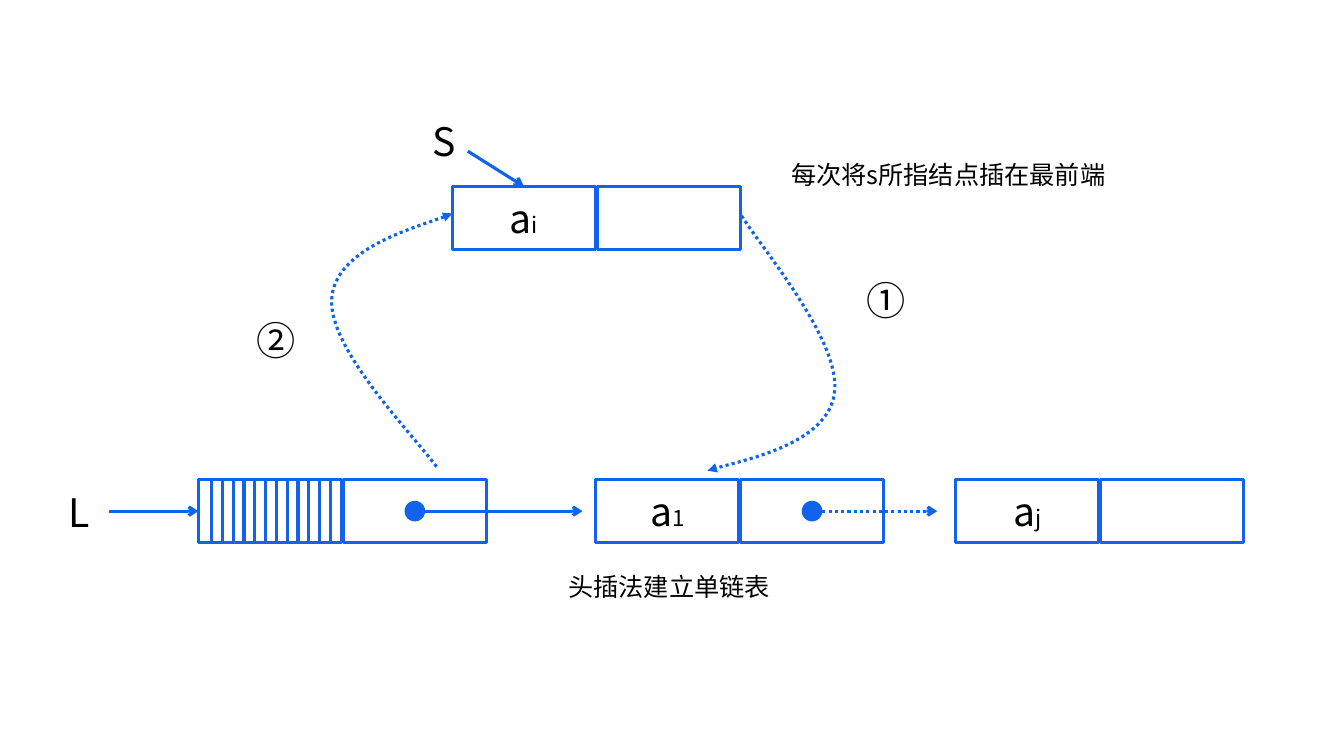
from lxml.etree import SubElement
from pptx import Presentation
from pptx.dml.color import RGBColor
from pptx.enum.dml import MSO_LINE
from pptx.enum.shapes import MSO_CONNECTOR, MSO_SHAPE
from pptx.enum.text import MSO_ANCHOR, PP_ALIGN
from pptx.oxml.ns import qn
from pptx.util import Cm, Pt

BLUE = RGBColor(0x11, 0x63, 0xEB)
BLACK = RGBColor(0x00, 0x00, 0x00)
FONT = "Noto Sans CJK SC"
CELL_W, CELL_H, PITCH = 3.61, 1.58, 3.65
DOT = 0.52
TOP_Y, ROW_Y = 4.70, 12.09
MID_Y = ROW_Y + CELL_H / 2


class Diagram:
    def __init__(self, slide):
        self.shapes = slide.shapes

    def stroke(self, sp, dotted=False, head=None):
        sp.line.color.rgb = BLUE
        sp.line.width = Pt(2.25)
        if dotted:
            sp.line.dash_style = MSO_LINE.ROUND_DOT
        if head:
            ln = sp.line._get_or_add_ln()
            SubElement(ln, qn("a:tailEnd"), type=head)

    def run(self, p, text, size):
        r = p.add_run()
        r.text = text
        r.font.size = Pt(size)
        r.font.color.rgb = BLACK
        r.font.name = FONT
        SubElement(r.font._element, qn("a:ea"), typeface=FONT)

    def cell(self, x, y, letter="", index=""):
        sp = self.shapes.add_shape(MSO_SHAPE.RECTANGLE, Cm(x), Cm(y), Cm(CELL_W), Cm(CELL_H))
        sp.shadow.inherit = False
        sp.fill.background()
        self.stroke(sp)
        if letter:
            tf = sp.text_frame
            tf.vertical_anchor = MSO_ANCHOR.MIDDLE
            p = tf.paragraphs[0]
            p.alignment = PP_ALIGN.CENTER
            self.run(p, letter, 28)
            self.run(p, index, 16)
        return sp

    def node(self, x, y, letter="", index=""):
        data = self.cell(x, y, letter, index)
        self.cell(x + PITCH, y)
        return data

    def line(self, x1, y1, x2, y2, dotted=False, head=None):
        cx = self.shapes.add_connector(MSO_CONNECTOR.STRAIGHT, Cm(x1), Cm(y1), Cm(x2), Cm(y2))
        self.stroke(cx, dotted, head)
        SubElement(cx._element.spPr, qn("a:effectLst"))
        return cx

    def pointer(self, node_x, end_x, dotted=False):
        x = node_x + PITCH + (CELL_W - DOT) / 2
        sp = self.shapes.add_shape(MSO_SHAPE.OVAL, Cm(x), Cm(MID_Y - DOT / 2), Cm(DOT), Cm(DOT))
        sp.shadow.inherit = False
        sp.fill.solid()
        sp.fill.fore_color.rgb = BLUE
        sp.line.fill.background()
        self.line(x + DOT, MID_Y, end_x, MID_Y, dotted, "arrow")

    def curve(self, points):
        start, *rest = [(Cm(x), Cm(y)) for x, y in points]
        builder = self.shapes.build_freeform(*start)
        builder.add_line_segments(rest, close=False)
        sp = builder.convert_to_shape()
        sp.shadow.inherit = False
        sp.fill.background()
        self.stroke(sp, dotted=True, head="triangle")
        segments = list(sp._element.iter(qn("a:lnTo")))
        outline = segments[0].getparent()
        for i in range(0, len(segments), 3):
            bezier = SubElement(outline, qn("a:cubicBezTo"))
            for segment in segments[i:i + 3]:
                bezier.append(segment[0])
                outline.remove(segment)

    def label(self, x, y, w, h, text, size=28, wrap=False, align=PP_ALIGN.LEFT):
        tf = self.shapes.add_textbox(Cm(x), Cm(y), Cm(w), Cm(h)).text_frame
        tf.word_wrap = wrap
        p = tf.paragraphs[0]
        p.alignment = align
        self.run(p, text, size)


def main():
    prs = Presentation()
    prs.slide_width, prs.slide_height = Cm(33.87), Cm(19.05)
    d = Diagram(prs.slides.add_slide(prs.slide_layouts[6]))

    head_x, first_x, last_x = 5.00, 15.01, 24.08
    new_node = d.node(11.40, TOP_Y, "a", "i")
    head = d.node(head_x, ROW_Y)
    for i in range(12):
        x = head_x + 0.33 + i * 3 / 11
        d.line(x, ROW_Y, x, ROW_Y + CELL_H)
    d.node(first_x, ROW_Y, "a", "1")
    d.node(last_x, ROW_Y, "a", "j")
    d.pointer(head_x, 14.68)
    d.pointer(first_x, 23.62, dotted=True)

    d.line(2.74, MID_Y, head_x, MID_Y, head="arrow").end_connect(head, 1)
    d.line(11.79, 3.81, 13.2, TOP_Y, head="arrow").end_connect(new_node, 0)
    d.curve([(11.00, 11.76), (10.41, 10.95), (8.28, 8.81), (8.36, 7.54),
             (8.43, 6.27), (10.82, 5.64), (11.40, 5.38)])
    d.curve([(18.69, 5.44), (19.23, 6.30), (21.21, 8.61), (21.03, 9.91),
             (20.85, 11.18), (18.44, 11.66), (17.83, 11.86)])

    d.label(1.47, 12.17, 1.09, 1.45, "L")
    d.label(10.64, 2.84, 1.17, 1.45, "S")
    d.label(21.59, 6.83, 1.50, 1.45, "①")
    d.label(6.22, 7.85, 1.50, 1.45, "②")
    d.label(19.69, 3.89, 8.46, 1.02, "每次将s所指结点插在最前端", 18, wrap=True)
    d.label(14.07, 14.27, 5.59, 1.02, "头插法建立单链表", 18, align=PP_ALIGN.CENTER)
    prs.save("out.pptx")


if __name__ == "__main__":
    main()
